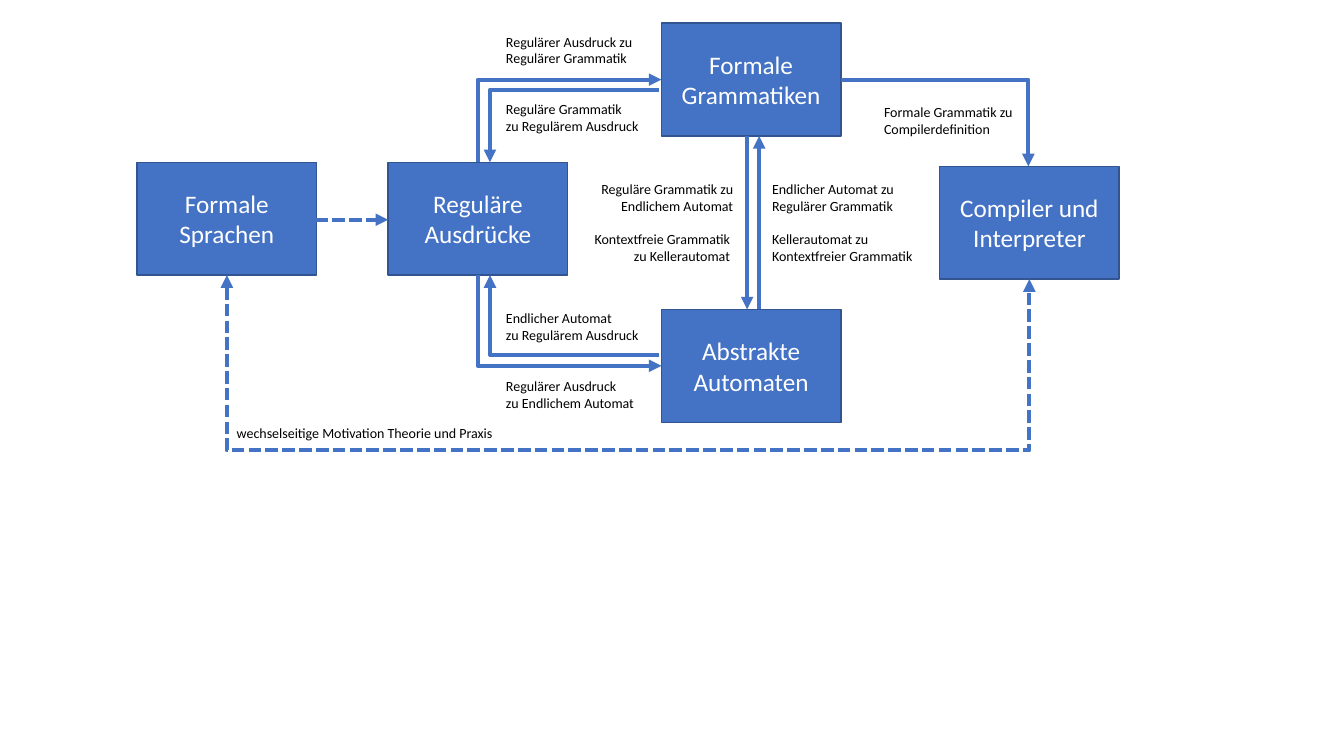
import pptx
import pptx.dml.color
import pptx.enum.dml
import pptx.enum.shapes
import pptx.enum.text
import pptx.oxml
import pptx.oxml.ns
import pptx.util

Inches = pptx.util.Inches
Pt = pptx.util.Pt
RGBColor = pptx.dml.color.RGBColor
CONNECTOR = pptx.enum.shapes.MSO_CONNECTOR
ALIGN = pptx.enum.text.PP_ALIGN
qn = pptx.oxml.ns.qn

BLUE = RGBColor(0x44, 0x72, 0xC4)
DARK_BLUE = RGBColor(0x32, 0x54, 0x91)
WHITE = RGBColor(0xFF, 0xFF, 0xFF)
BLACK = RGBColor(0x00, 0x00, 0x00)
FONT = "Calibri"
TOPIC_WIDTH, TOPIC_HEIGHT = 1.78, 1.12

presentation = pptx.Presentation()
presentation.slide_width = Inches(13.33)
presentation.slide_height = Inches(7.5)
slide = presentation.slides.add_slide(presentation.slide_layouts[6])


def format_paragraph(paragraph, size, color, alignment):
    paragraph.alignment = alignment
    for run in paragraph.runs:
        run.font.name = FONT
        run.font.size = Pt(size)
        run.font.color.rgb = color


def add_arrow(kind, start, end, heads, dashed=False):
    """Draw a connector; heads lists headEnd (at start) and/or tailEnd (at end)."""
    arrow = slide.shapes.add_connector(kind, *map(Inches, start + end))
    arrow.line.color.rgb = BLUE
    arrow.line.width = Pt(3)
    if dashed:
        arrow.line.dash_style = pptx.enum.dml.MSO_LINE.SQUARE_DOT
        arrow.line._ln.find(qn("a:prstDash")).set("val", "sysDash")
    for head in heads:
        pptx.oxml.ns  # arrowheads follow the dash in schema order
        arrow.line._ln.append(arrow.line._ln.makeelement(qn("a:" + head), {"type": "triangle"}))
    properties = arrow._element.spPr
    properties.append(properties.makeelement(qn("a:effectLst"), {}))
    return arrow


topics = [
    ("Formale Sprachen", 1.36, 1.61),
    ("Formale Grammatiken", 6.56, 0.23),
    ("Reguläre Ausdrücke", 3.85, 1.61),
    ("Abstrakte Automaten", 6.56, 3.07),
    ("Compiler und Interpreter", 9.32, 1.65),
]
for name, left, top in topics:
    topic = slide.shapes.add_shape(
        pptx.enum.shapes.MSO_SHAPE.RECTANGLE,
        Inches(left), Inches(top), Inches(TOPIC_WIDTH), Inches(TOPIC_HEIGHT))
    topic.shadow.inherit = False
    topic.fill.solid()
    topic.fill.fore_color.rgb = BLUE
    topic.line.color.rgb = DARK_BLUE
    topic.line.width = Pt(1)
    topic.text_frame.text = name
    topic.text_frame.word_wrap = True
    topic.text_frame.vertical_anchor = pptx.enum.text.MSO_ANCHOR.MIDDLE
    format_paragraph(topic.text_frame.paragraphs[0], 18, WHITE, ALIGN.CENTER)

# One-corner arrows leave horizontally and arrive vertically
corner_arrows = [
    ((6.56, 0.79), (4.74, 1.61), "headEnd"),
    ((6.54, 0.89), (4.86, 1.61), "tailEnd"),
    ((6.56, 3.63), (4.74, 2.73), "headEnd"),
    ((6.54, 3.52), (4.86, 2.73), "tailEnd"),
    ((8.34, 0.79), (10.2, 1.65), "tailEnd"),
]
for start, end, head in corner_arrows:
    corner_arrow = add_arrow(CONNECTOR.ELBOW, start, end, [head])
    corner_arrow._element.spPr.find(qn("a:prstGeom")).set("prst", "bentConnector2")

add_arrow(CONNECTOR.STRAIGHT, (7.41, 1.35), (7.41, 3.07), ["tailEnd"])
add_arrow(CONNECTOR.STRAIGHT, (7.53, 3.07), (7.53, 1.35), ["tailEnd"])
add_arrow(CONNECTOR.STRAIGHT, (3.13, 2.18), (3.85, 2.18), ["tailEnd"], dashed=True)

# The theory-practice loop is a turned elbow whose middle part lies below both ends
loop_left, loop_right, loop_top, loop_drop, loop_bottom = 2.25, 10.21, 2.73, 0.04, 4.46
loop_span = loop_right - loop_left
center_x = (loop_left + loop_right) / 2
center_y = loop_top + loop_drop / 2
loop = add_arrow(
    CONNECTOR.ELBOW,
    (center_x - loop_drop / 2, center_y - loop_span / 2),
    (center_x + loop_drop / 2, center_y + loop_span / 2),
    ["headEnd", "tailEnd"], dashed=True)
loop_frame = loop._element.spPr.find(qn("a:xfrm"))
loop_frame.set("rot", str(270 * 60000))
loop_frame.set("flipH", "1")
loop_adjustments = loop._element.spPr.find(qn("a:prstGeom")).get_or_add_avLst()
bend = round((loop_bottom - loop_top) / loop_drop * 100000)
loop_adjustments.append(loop_adjustments.makeelement(
    qn("a:gd"), {"name": "adj1", "fmla": f"val {bend}"}))

# Each label is a list of blocks, with a gap of one line between blocks
labels = [
    (4.92, 0.28, 1.51, 0.44, ALIGN.LEFT, ["Regulärer Ausdruck zu\nRegulärer Grammatik"]),
    (4.92, 0.95, 1.54, 0.44, ALIGN.LEFT, ["Reguläre Grammatik\nzu Regulärem Ausdruck"]),
    (4.92, 3.02, 1.54, 0.44, ALIGN.LEFT, ["Endlicher Automat\nzu Regulärem Ausdruck"]),
    (4.92, 3.7, 1.52, 0.44, ALIGN.LEFT, ["Regulärer Ausdruck\nzu Endlichem Automat"]),
    (5.76, 1.74, 1.61, 0.94, ALIGN.RIGHT, [
        "Reguläre Grammatik zu\nEndlichem Automat",
        "Kontextfreie Grammatik \nzu Kellerautomat "]),
    (7.56, 1.74, 1.63, 0.94, ALIGN.LEFT, [
        "Endlicher Automat zu\nRegulärer Grammatik",
        "Kellerautomat zu\nKontextfreier Grammatik"]),
    (8.67, 0.98, 1.53, 0.44, ALIGN.LEFT, ["Formale Grammatik zu\nCompilerdefinition"]),
    (2.25, 4.16, 2.83, 0.27, ALIGN.LEFT, ["wechselseitige Motivation Theorie und Praxis"]),
]
for left, top, width, height, alignment, blocks in labels:
    label = slide.shapes.add_textbox(Inches(left), Inches(top), Inches(width), Inches(height))
    label.text_frame.word_wrap = False
    label.text_frame.auto_size = pptx.enum.text.MSO_AUTO_SIZE.SHAPE_TO_FIT_TEXT
    label.text_frame.text = "\n".join(line for block in blocks for line in block.split("\n"))
    for index, paragraph in enumerate(label.text_frame.paragraphs):
        format_paragraph(paragraph, 10, BLACK, alignment)
        if index == 2:
            paragraph.space_before = Pt(12)

presentation.save("out.pptx")
